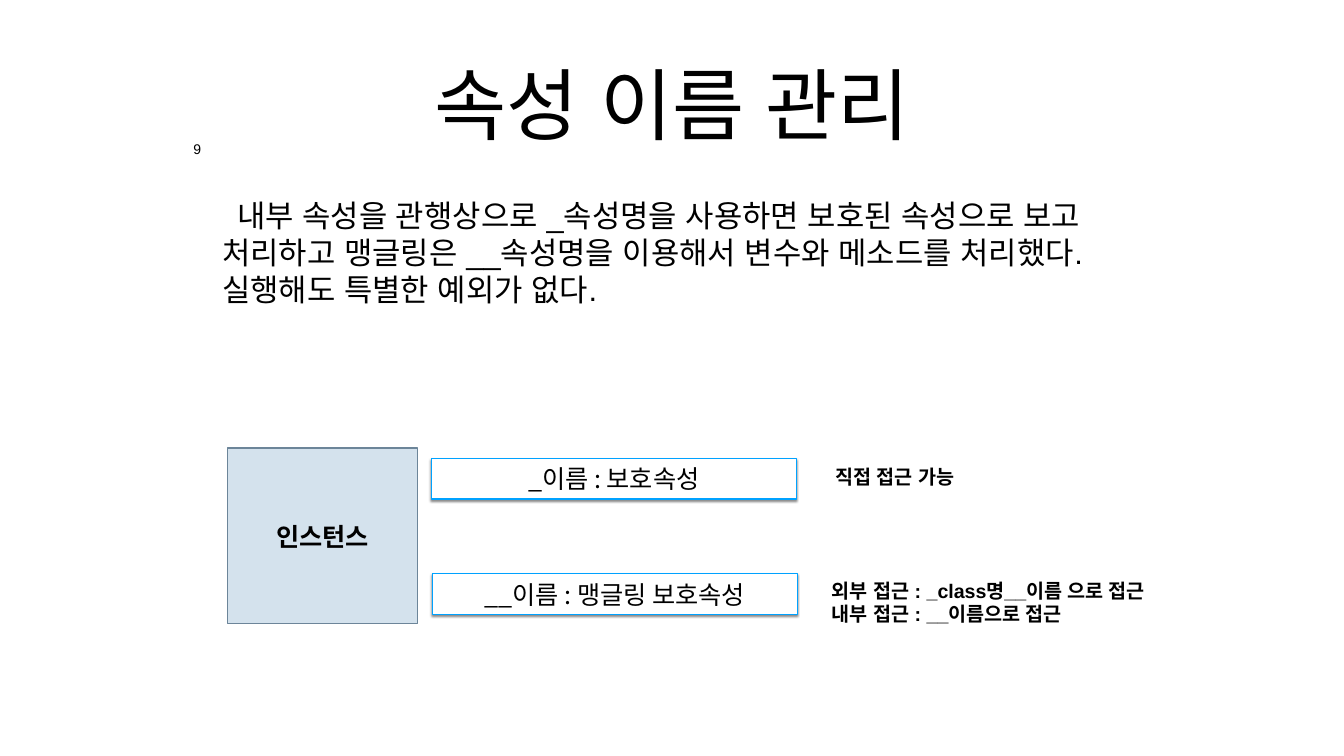
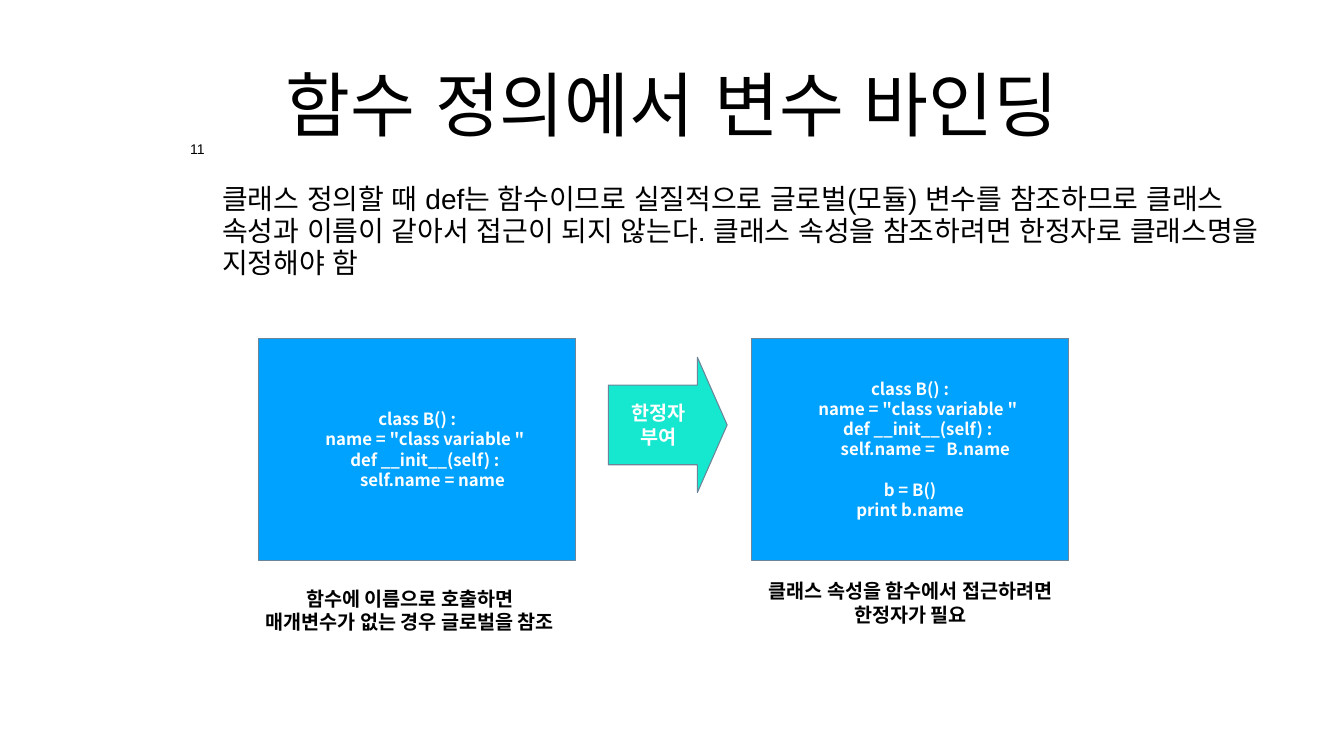
from lxml import etree
from pptx import Presentation
from pptx.dml.color import RGBColor
from pptx.enum.shapes import MSO_SHAPE as Shape
from pptx.enum.text import MSO_ANCHOR as Anchor, MSO_AUTO_SIZE as AutoSize, PP_ALIGN as Align
from pptx.oxml import parse_xml
from pptx.oxml.ns import qn
from pptx.util import Cm, Pt

# Shared style
rgb = RGBColor.from_string
BLACK, WHITE = "000000", "FFFFFF"
BLUE, SLATE, PALE, TEAL = "00A2FF", "6C8599", "D4E2ED", "16E7CF"
LATIN, KOREAN = "Arial", "Noto Sans CJK KR"
SHADOW = (
    '<a:effectLst xmlns:a="http://schemas.openxmlformats.org/drawingml/2006/main">'
    '<a:outerShdw blurRad="38100" dist="30480" dir="5400000" rotWithShape="0">'
    '<a:srgbClr val="000000"><a:alpha val="45000"/></a:srgbClr>'
    '</a:outerShdw></a:effectLst>'
)


def write(holder, text, size, font=KOREAN, color=BLACK, bold=False,
          align=Align.CENTER, anchor=Anchor.MIDDLE, inset=0.25):
    """Fill a shape's text frame and format every run in it."""
    frame = holder.text_frame
    frame.text = text
    frame.word_wrap, frame.auto_size = True, AutoSize.NONE
    frame.vertical_anchor = anchor
    frame.margin_left = frame.margin_right = Cm(inset)
    frame.margin_top = frame.margin_bottom = Cm(inset)
    for paragraph in frame.paragraphs:
        paragraph.alignment = align
        paragraph.space_before = Pt(0)
        for run in paragraph.runs:
            run.font.size, run.font.bold = Pt(size), bold
            run.font.color.rgb = rgb(color)
            run.font.name = font
            east_asian = etree.SubElement(run.font._element, qn("a:ea"))
            east_asian.set("typeface", font)
    return frame


def add_box(slide, kind, place, fill, line):
    box = slide.shapes.add_shape(kind, *map(Cm, place))
    box.shadow.inherit = False
    box.fill.solid()
    box.fill.fore_color.rgb = rgb(fill)
    box.line.color.rgb = rgb(line)
    box.line.width = Pt(1.5)
    return box


deck = Presentation()
deck.slide_width, deck.slide_height = Cm(67.74), Cm(38.1)

# Title, explanation and page number of both slides
pages = [
    ("속성 이름 관리", 112, "9",
     "내부 속성을 관행상으로 _속성명을 사용하면 보호된 속성으로 보고 처리하고 맹글링은 "
     "__속성명을 이용해서 변수와 메소드를 처리했다. 실행해도 특별한 예외가 없다.",
     44, (45.72, 9.19), 0.87, 0.75, 1.0),
    ("함수 정의에서 변수 바인딩", 100.8, "11",
     "클래스 정의할 때 def는 함수이므로 실질적으로 글로벌(모듈) 변수를 참조하므로 클래스 "
     "속성과 이름이 같아서 접근이 되지 않는다. 클래스 속성을 참조하려면 한정자로 "
     "클래스명을 지정해야 함",
     40, (54.13, 7.6), 0.2, 0, 0.96),
]
for (heading, heading_size, number, explanation, explanation_size,
     extent, top_inset, first_indent, spacing) in pages:
    slide = deck.slides.add_slide(deck.slide_layouts[1])
    title, body = slide.placeholders
    title.left, title.top, title.width, title.height = map(Cm, (12.2, 1, 43.36, 8.43))
    write(title, heading, heading_size, LATIN, inset=0.2)

    body.left, body.top, body.width, body.height = map(Cm, (11, 9.04, *extent))
    frame = write(body, explanation, explanation_size, LATIN,
                  align=Align.LEFT, anchor=Anchor.TOP, inset=0.2)
    frame.margin_top = Cm(top_inset)
    paragraph = frame.paragraphs[0]
    paragraph.line_spacing = spacing
    properties = paragraph._p.get_or_add_pPr()
    properties.set("marL", "0")
    properties.set("indent", str(Cm(first_indent)))
    etree.SubElement(properties, qn("a:buNone"))

    page_number = slide.shapes.add_textbox(Cm(9.35), Cm(7.06), Cm(1.19), Cm(1.09))
    frame = write(page_number, number, 20, LATIN, anchor=Anchor.TOP, inset=0.2)
    frame.word_wrap = False
    frame.paragraphs[0].line_spacing = 0.8

naming, binding = deck.slides

# Slide 1: instance, its attribute names and how each is reached
instance = add_box(naming, Shape.RECTANGLE, (11.46, 22.58, 9.6, 8.86), PALE, SLATE)
write(instance, "인스턴스", 36, bold=True)

attributes = [
    ("_이름 : 보호속성", 21.74, 23.09, "직접 접근 가능", (41.86, 23.16, 11.99, 1.7)),
    ("__이름 : 맹글링 보호속성", 21.79, 28.91,
     "외부 접근 : _class명__이름 으로 접근\n내부 접근 : __이름으로 접근",
     (41.68, 28.91, 18.97, 2.9)),
]
for name, left, top, access, access_place in attributes:
    attribute = add_box(naming, Shape.RECTANGLE, (left, top, 18.39, 2.06), WHITE, BLUE)
    properties = attribute._element.spPr
    properties.replace(properties.find(qn("a:effectLst")), parse_xml(SHADOW))
    write(attribute, name, 36)
    access_note = naming.shapes.add_textbox(*map(Cm, access_place))
    write(access_note, access, 28, LATIN, bold=True, align=Align.LEFT, anchor=Anchor.TOP)

# Slide 2: code without and with the qualifier
unqualified = """class B() :
    name = "class variable "
    def __init__(self) :
        self.name = name"""
qualified = """class B() :
    name = "class variable "
    def __init__(self) :
        self.name =   B.name
b = B()
print b.name"""
examples = [
    (unqualified, 13.03, "함수에 이름으로 호출하면 매개변수가 없는 경우 글로벌을 참조",
     (13.06, 29.44, 15.19, 3.84)),
    (qualified, 37.87, "클래스 속성을 함수에서 접근하려면 한정자가 필요",
     (38.3, 29.06, 15.19, 2.64)),
]
for code, left, caption, caption_place in examples:
    panel = add_box(binding, Shape.RECTANGLE, (left, 17.04, 16, 11.2), BLUE, SLATE)
    for line in write(panel, code, 24, color=WHITE, bold=True).paragraphs:
        if line.text == "b = B()":
            line.space_before = Pt(29)
    caption_box = binding.shapes.add_textbox(*map(Cm, caption_place))
    frame = write(caption_box, caption, 28, bold=True, anchor=Anchor.TOP)
    frame.margin_top = frame.margin_bottom = Cm(0.13)

qualifier = add_box(binding, Shape.RIGHT_ARROW, (30.66, 18.01, 5.99, 6.81), TEAL, SLATE)
qualifier.adjustments[0], qualifier.adjustments[1] = 0.59, 0.25
write(qualifier, "한정자\n부여", 28, color=WHITE, bold=True)

deck.save("out.pptx")
